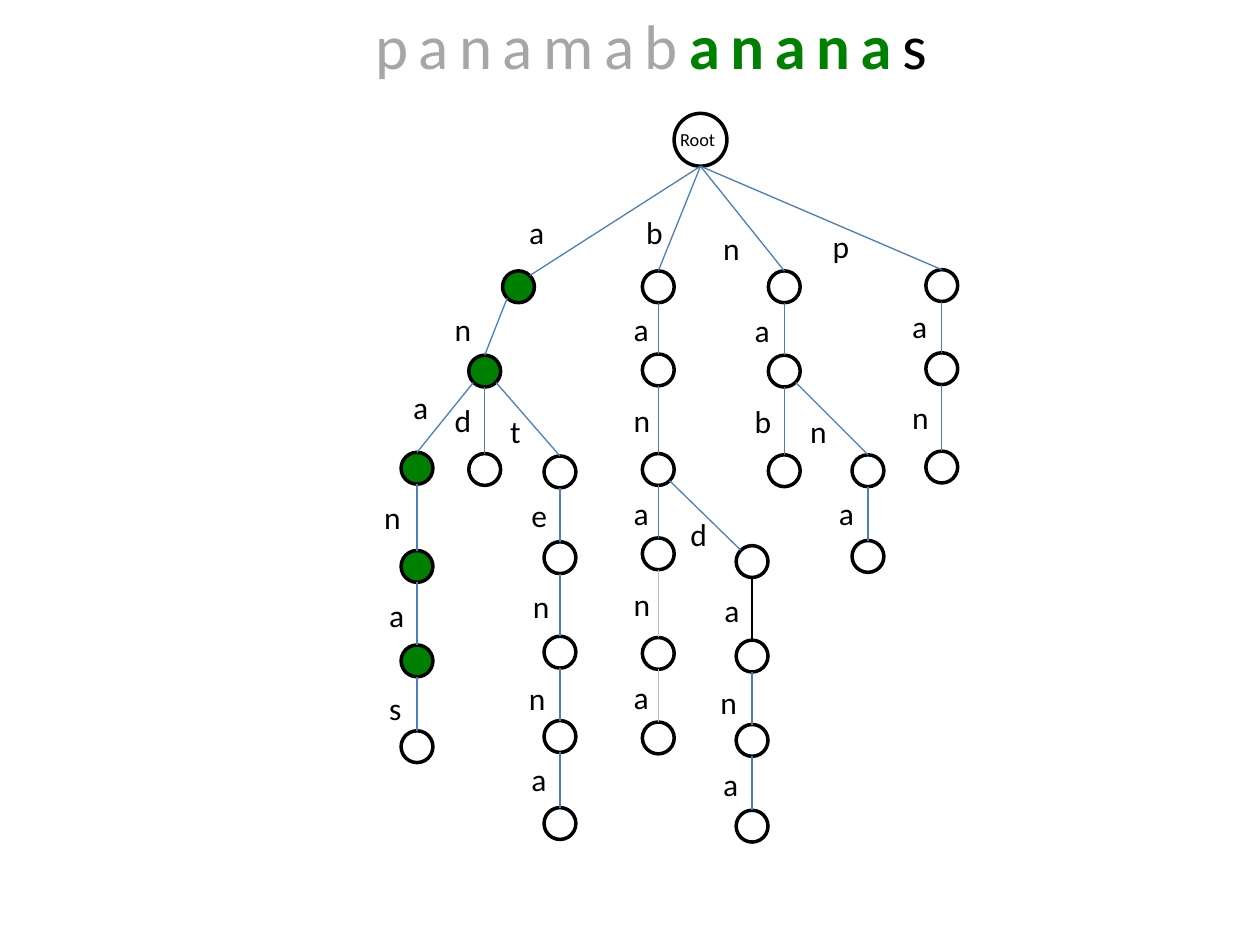
"""Draw the trie of words matched against a text."""
from lxml import etree
from pptx import Presentation
from pptx.dml.color import RGBColor
from pptx.enum import shapes, text
from pptx.oxml import ns
from pptx.util import Pt

FONT = "Calibri"
BLACK, WHITE, GREEN = "000000", "FFFFFF", "008000"
BLUE, GREY, FADED = "4B7EBC", "BFBFBF", "A6A6A6"
SIZE = 18.2
MATCH = "anana"
WIDTHS = {"a": 23, "e": 23.8, "s": 21.6, "t": 20.9}
EDGES = {"banan": GREY, "banana": GREY, "banda": BLACK}
SIDES = {"a": 1, "band": -1}

# path from the root, node centre x, node top, label left, label top
NODES = [
    ("a", 296.3, 154.8, 295.2, 118.1),
    ("an", 277, 203, 252.7, 173.5),
    ("ana", 238.3, 258.5, 229, 218.2),
    ("anan", 238.3, 314.6, 212.4, 280.8),
    ("anana", 238.3, 368.6, 215.3, 337),
    ("ananas", 238.3, 417.6, 215.3, 390.2),
    ("and", 277, 259.2, 252.7, 225.4),
    ("ant", 320, 260.6, 284.4, 231.8),
    ("ante", 320, 309.6, 296.6, 280.1),
    ("anten", 320, 363.6, 297.4, 331.9),
    ("antenn", 320, 411.8, 295.2, 384.5),
    ("antenna", 320, 461.5, 296.6, 430.6),
    ("b", 376.2, 154.8, 362.2, 118.1),
    ("ba", 376.2, 202.3, 355, 173.5),
    ("ban", 376.2, 259.2, 355, 225.4),
    ("bana", 376.2, 307.4, 355, 278.6),
    ("banan", 376.2, 364.3, 355, 330.5),
    ("banana", 376.2, 412.6, 355, 383.8),
    ("band", 429.8, 311.8, 387.4, 290.9),
    ("banda", 429.8, 365.8, 406.8, 334.1),
    ("bandan", 429.8, 414, 404.6, 386.6),
    ("bandana", 429.8, 463, 406.1, 433.4),
    ("n", 448.2, 154.8, 406.1, 127.4),
    ("na", 448.2, 203, 424.1, 174.2),
    ("nab", 448.2, 259.9, 424.1, 226.1),
    ("nan", 496, 259.9, 455.8, 231.8),
    ("nana", 496, 308.9, 472.3, 278.6),
    ("p", 538.2, 154.1, 468.7, 126),
    ("pa", 538.2, 201.6, 514.1, 172.1),
    ("pan", 538.2, 257.8, 514.1, 223.9),
]


def tint(code):
    """Return the colour of a hex string."""
    return RGBColor.from_string(code)


def title(slide):
    """Fill the title with the text, its match in green."""
    box = slide.shapes.title
    box.left, box.top, box.width, box.height = Pt(192), Pt(0), Pt(360), Pt(51)
    frame = box.text_frame
    frame.auto_size = text.MSO_AUTO_SIZE.NONE
    frame.vertical_anchor = text.MSO_ANCHOR.TOP
    par = frame.paragraphs[0]
    par.alignment = text.PP_ALIGN.CENTER
    par.font.name, par.font.size = FONT, Pt(36)
    for part, code in (("panamab", FADED), (MATCH, GREEN), ("s", BLACK)):
        run = par.add_run()
        run.text = part
        run.font.name, run.font.size = FONT, Pt(36)
        run.font.bold = part == MATCH
        run.font.color.rgb = tint(code)
        run.font._element.set("spc", "600")


def label(slide, word, left, top, width, height, size):
    """Add a small text without wrapping."""
    box = slide.shapes.add_textbox(Pt(left), Pt(top), Pt(width), Pt(height))
    frame = box.text_frame
    frame.word_wrap = False
    frame.auto_size = text.MSO_AUTO_SIZE.SHAPE_TO_FIT_TEXT
    par = frame.paragraphs[0]
    par.text = word
    par.font.name, par.font.size = FONT, Pt(size)
    par.font.color.rgb = tint(BLACK)


def node(slide, mid, top, size, code):
    """Add a circle centred on mid."""
    dot = slide.shapes.add_shape(
        shapes.MSO_SHAPE.OVAL, Pt(mid - size / 2), Pt(top), Pt(size), Pt(size))
    dot.shadow.inherit = False
    dot.fill.solid()
    dot.fill.fore_color.rgb = tint(code)
    dot.line.color.rgb = tint(BLACK)
    dot.line.width = Pt(2)
    return dot


def rim(dot, side, way):
    """Return a rim point: side -1, 0 or 1 across, way -1 up or 1 down."""
    rad = dot.width / 2
    reach = rad * (0.71 if side else 1)
    return (int(dot.left + rad + side * reach),
            int(dot.top + rad + way * reach))


def edge(slide, high, low, exit, entry, code):
    """Join a parent circle to its child."""
    line = slide.shapes.add_connector(
        shapes.MSO_CONNECTOR.STRAIGHT, *rim(high, exit, 1), *rim(low, entry, -1))
    if not entry:
        line.end_connect(low, 0)
    line.line.color.rgb = tint(code)
    line.line.width = Pt(0.75)
    etree.SubElement(line._element.spPr, ns.qn("a:effectLst"))


def tree(slide):
    """Draw the root and every node with its edge and letter."""
    dots = {"": node(slide, 400.3, 64.8, 30.2, WHITE)}
    spots = {"": 400.3}
    label(slide, "Root", 381.6, 69.8, 39.6, 20.2, 10.5)
    for key, mid, top, left, high in NODES:
        up = key[:-1]
        code = GREEN if MATCH.startswith(key) else WHITE
        dots[key] = node(slide, mid, top, SIZE, code)
        spots[key] = mid
        exit = (mid > spots[up]) - (mid < spots[up]) if up else 0
        edge(slide, dots[up], dots[key], exit, SIDES.get(key, 0),
             EDGES.get(key, BLUE))
        label(slide, key[-1], left, high, WIDTHS.get(key[-1], 24.5), 29, 18)


def main():
    """Build and save the slide."""
    deck = Presentation()
    deck.slide_width, deck.slide_height = Pt(720), Pt(540)
    slide = deck.slides.add_slide(deck.slide_layouts[5])
    title(slide)
    tree(slide)
    deck.save("out.pptx")


if __name__ == "__main__":
    main()
